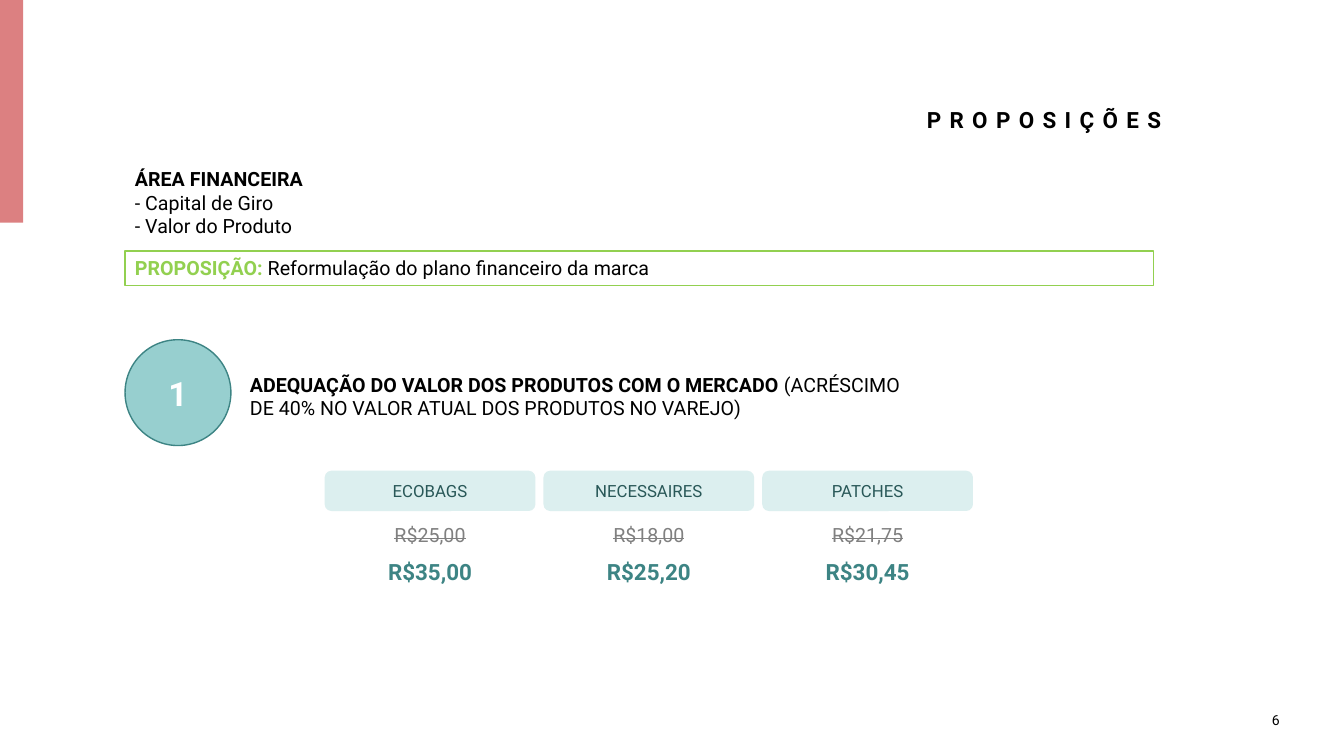
from dataclasses import dataclass
from pptx import Presentation
from pptx import util as u
from pptx.dml.color import RGBColor
from pptx.enum import shapes, text

PX = 9144  # one px is a hundredth of an inch
SHAPE = shapes.MSO_SHAPE
LEFT, MID, RIGHT = text.PP_ALIGN.LEFT, text.PP_ALIGN.CENTER, text.PP_ALIGN.RIGHT
TOP, CENTER = text.MSO_ANCHOR.TOP, text.MSO_ANCHOR.MIDDLE


@dataclass(frozen=True)
class Theme:
    font: str = "Roboto"
    black: str = "000000"
    white: str = "FFFFFF"
    rose: str = "DC8081"
    green: str = "92D050"
    aqua: str = "97CFCF"
    teal: str = "3D8484"
    mist: str = "DCEFEF"
    deep: str = "295858"
    gray: str = "808080"
    tiny: int = 10
    small: int = 12
    body: int = 14
    large: int = 16
    huge: int = 24


T = Theme()


def color(code):
    return RGBColor.from_string(code)


def place(item, box):
    item.left, item.top, item.width, item.height = (n * PX for n in box)


def write(item, lines, size=T.body, align=LEFT, anchor=TOP, space=0, strike=False):
    """Fill a text frame; each line is a list of (words, colour, bold)."""
    frame = item.text_frame
    frame.word_wrap = True
    frame.auto_size = text.MSO_AUTO_SIZE.NONE
    frame.vertical_anchor = anchor
    for i, line in enumerate(lines):
        para = frame.add_paragraph() if i else frame.paragraphs[0]
        para.alignment = align
        para.font.name, para.font.size = T.font, u.Pt(size)
        for words, code, bold in line:
            run = para.add_run()
            run.text = words
            run.font.bold = bold
            run.font.color.rgb = color(code)
            props = run.font._element
            if space:
                props.set("spc", str(space * 100))
            if strike:
                props.set("strike", "sngStrike")


def label(slide, box, lines, **style):
    item = slide.shapes.add_textbox(*(n * PX for n in box))
    write(item, lines, **style)


def block(slide, kind, box, fill=None, line=None):
    item = slide.shapes.add_shape(kind, *(n * PX for n in box))
    item.shadow.inherit = False
    if fill:
        item.fill.solid()
        item.fill.fore_color.rgb = color(fill)
    else:
        item.fill.background()
    if line:
        item.line.color.rgb = color(line)
        item.line.width = u.Pt(1)
    else:
        item.line.fill.background()
    return item


def heading(slide, words):
    title = slide.shapes.title
    place(title, (420, 92, 742, 102))
    write(title, [[(words, T.black, True)]], T.large, RIGHT, space=6)
    title.text_frame.paragraphs[0].line_spacing = 1.3


def price(slide, left, name, old, new):
    """One product column: name tag, old price, new price."""
    tag = block(slide, SHAPE.ROUNDED_RECTANGLE, (left, 467, 209, 40), T.mist)
    write(tag, [[(name, T.deep, False)]], T.small, MID, CENTER)
    label(slide, (left, 514, 209, 33), [[(old, T.gray, False)]],
          align=MID, strike=True)
    label(slide, (left, 549, 209, 37), [[(new, T.teal, True)]],
          size=T.large, align=MID)


def main():
    deck = Presentation()
    deck.slide_width, deck.slide_height = 1333 * PX, 750 * PX
    slide = deck.slides.add_slide(deck.slide_layouts[5])

    # Corner bar, title and page number
    block(slide, SHAPE.RECTANGLE, (0, 0, 23, 221), T.rose)
    heading(slide, "PROPOSIÇÕES")
    label(slide, (1221, 694, 58, 40), [[("6", T.black, False)]],
          size=T.tiny, align=RIGHT, anchor=CENTER, space=1)

    # Area and proposal
    label(slide, (124, 161, 1020, 81), [
        [("ÁREA FINANCEIRA", T.black, True)],
        [("- Capital de Giro", T.black, False)],
        [("- Valor do Produto", T.black, False)],
    ])
    frame = block(slide, SHAPE.RECTANGLE, (124, 249, 1020, 34), line=T.green)
    write(frame, [[
        ("PROPOSIÇÃO: ", T.green, True),
        ("Reformulação do plano financeiro da marca", T.black, False),
    ]])

    # Numbered step
    disc = block(slide, SHAPE.OVAL, (124, 337, 105, 105), T.aqua, T.teal)
    write(disc, [[("1", T.white, True)]], T.huge, MID, CENTER)
    label(slide, (238, 365, 678, 57), [[
        ("ADEQUAÇÃO DO VALOR DOS PRODUTOS COM O MERCADO ", T.black, True),
        ("(ACRÉSCIMO DE 40% NO VALOR ATUAL DOS PRODUTOS NO VAREJO)",
         T.black, False),
    ]])

    # Product prices
    goods = [
        ("ECOBAGS", "R$25,00", "R$35,00"),
        ("NECESSAIRES", "R$18,00", "R$25,20"),
        ("PATCHES", "R$21,75", "R$30,45"),
    ]
    for i, good in enumerate(goods):
        price(slide, 322 + 217 * i, *good)

    deck.save("out.pptx")


if __name__ == "__main__":
    main()
